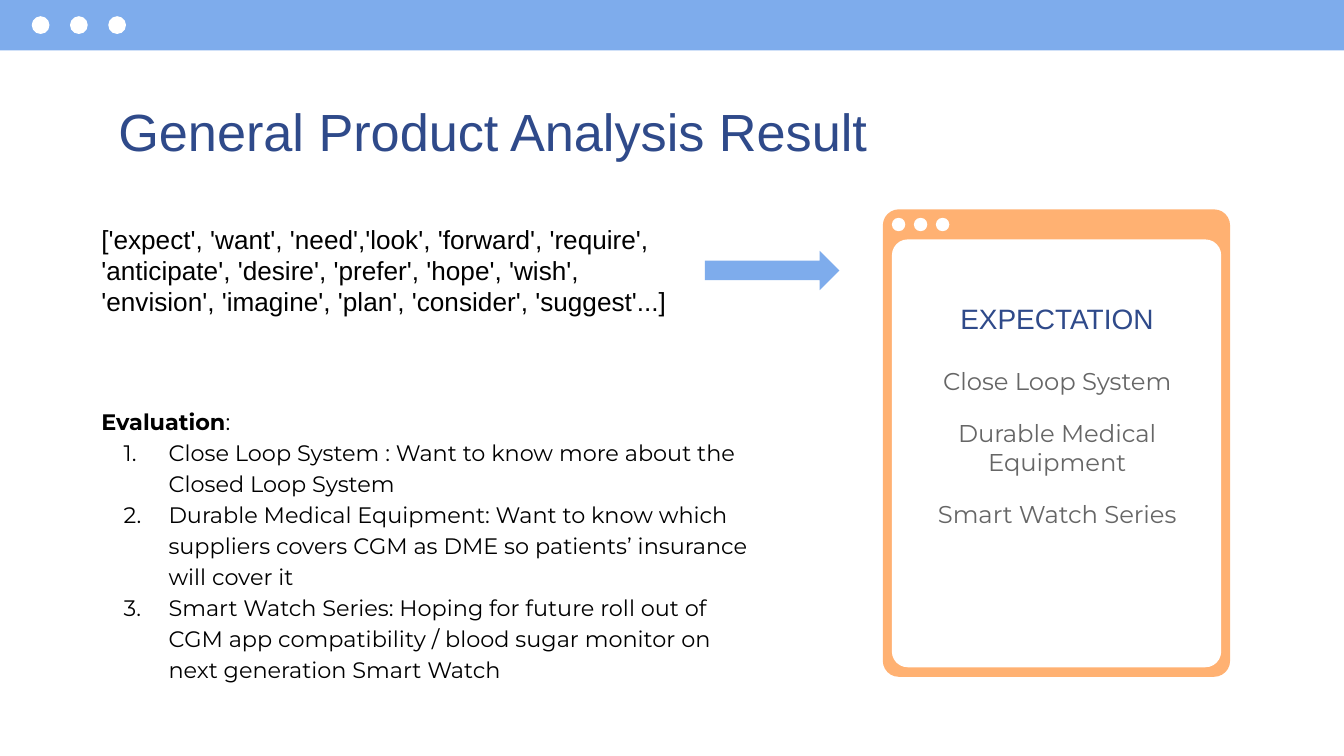
from lxml.etree import SubElement
from pptx import Presentation
from pptx.dml.color import RGBColor
from pptx.enum.shapes import MSO_SHAPE as Preset
from pptx.enum.text import MSO_ANCHOR as Anchor, MSO_AUTO_SIZE as AutoSize, PP_ALIGN as Align
from pptx.oxml.ns import qn
from pptx.util import Pt

COLORS = {
    "blue": "7EACEC",
    "navy": "2F4A8A",
    "orange": "FFB172",
    "white": "FFFFFF",
    "gray": "666666",
    "black": "000000",
}


def add_filled(preset, left, top, width, height, color, corner=None):
    """Add a borderless preset shape; corner is its rounding, if any."""
    shape = slide.shapes.add_shape(preset, Pt(left), Pt(top), Pt(width), Pt(height))
    shape.shadow.inherit = False
    shape.fill.solid()
    shape.fill.fore_color.rgb = RGBColor.from_string(COLORS[color])
    shape.line.fill.background()
    if corner is not None:
        shape.adjustments[0] = corner


def write(text, box, size, font="Arial", color="black", align=Align.LEFT, anchor=Anchor.TOP,
          holder=None, inset_top=7.2, gap=0, spacing=None, heading=None, numbered=False):
    """Write one paragraph per line of text, after an optional bold heading with a colon."""
    left, top, width, height = (Pt(length) for length in box)
    holder = holder or slide.shapes.add_textbox(left, top, width, height)
    holder.left, holder.top, holder.width, holder.height = left, top, width, height
    frame = holder.text_frame
    frame.word_wrap = True
    frame.auto_size = AutoSize.NONE
    frame.vertical_anchor = anchor
    frame.margin_left = frame.margin_right = frame.margin_bottom = Pt(7.2)
    frame.margin_top = Pt(inset_top)

    paragraphs = [[(line, False)] for line in text.split("\n")]
    if heading:
        paragraphs.insert(0, [(heading, True), (":", False)])
    for index, runs in enumerate(paragraphs):
        paragraph = frame.add_paragraph() if index else frame.paragraphs[0]
        paragraph.alignment = align
        paragraph.space_before = Pt(gap if index else 0)
        if spacing:
            paragraph.line_spacing = spacing
        if numbered and not (heading and index == 0):
            properties = paragraph._p.get_or_add_pPr()
            properties.set("marL", str(Pt(36)))
            properties.set("indent", str(-Pt(24)))
            number_color = SubElement(properties, qn("a:buClr"))
            SubElement(number_color, qn("a:srgbClr"), val=COLORS[color])
            SubElement(properties, qn("a:buFont"), typeface=font)
            SubElement(properties, qn("a:buAutoNum"), type="arabicPeriod")
        for words, bold in runs:
            run = paragraph.add_run()
            run.text = words
            run.font.name = font
            run.font.size = Pt(size)
            run.font.bold = bold
            run.font.color.rgb = RGBColor.from_string(COLORS[color])


deck = Presentation()
deck.slide_width, deck.slide_height = Pt(720), Pt(405)
slide = deck.slides.add_slide(deck.slide_layouts[5])

# Window bar across the top
add_filled(Preset.RECTANGLE, 0, 0, 720, 27, "blue")
for column in range(3):
    add_filled(Preset.OVAL, 17 + 20.5 * column, 8.7, 9.5, 9.5, "white")

write("General Product Analysis Result", (56.2, 43.2, 607.7, 36.7), 28, color="navy",
      holder=slide.shapes.title, inset_top=10)

# Expectation window
add_filled(Preset.ROUNDED_RECTANGLE, 473, 112.2, 186, 250.4, "orange", 0.046)
add_filled(Preset.ROUNDED_RECTANGLE, 477.8, 128.3, 176.4, 229.2, "white", 0.048)
for column in range(3):
    add_filled(Preset.OVAL, 477.8 + 11.8 * column, 116.7, 7.2, 7.2, "white")
write("EXPECTATION", (481, 152, 170.6, 36.7), 15, color="navy", align=Align.CENTER,
      anchor=Anchor.MIDDLE)
write("Close Loop System\nDurable Medical Equipment\nSmart Watch Series",
      (481, 189.2, 170.6, 152), 13, font="Montserrat", color="gray", align=Align.CENTER, gap=12)

# Keywords leading to the expectation window
write("['expect', 'want', 'need','look', 'forward', 'require', 'anticipate', 'desire', "
      "'prefer', 'hope', 'wish', 'envision', 'imagine', 'plan', 'consider', 'suggest'...]",
      (47.2, 112.3, 330.5, 65.5), 14)
add_filled(Preset.RIGHT_ARROW, 377.7, 134.4, 72, 21, "blue")

evaluation = [
    "Close Loop System : Want to know more about the Closed Loop System",
    "Durable Medical Equipment: Want to know which suppliers covers CGM as DME "
    "so patients’ insurance will cover it",
    "Smart Watch Series: Hoping for future roll out of CGM app compatibility / "
    "blood sugar monitor on next generation Smart Watch",
]
write("\n".join(evaluation), (47.2, 209.5, 368.6, 162.7), 12, font="Montserrat",
      spacing=1.15, heading="Evaluation", numbered=True)

deck.save("out.pptx")
